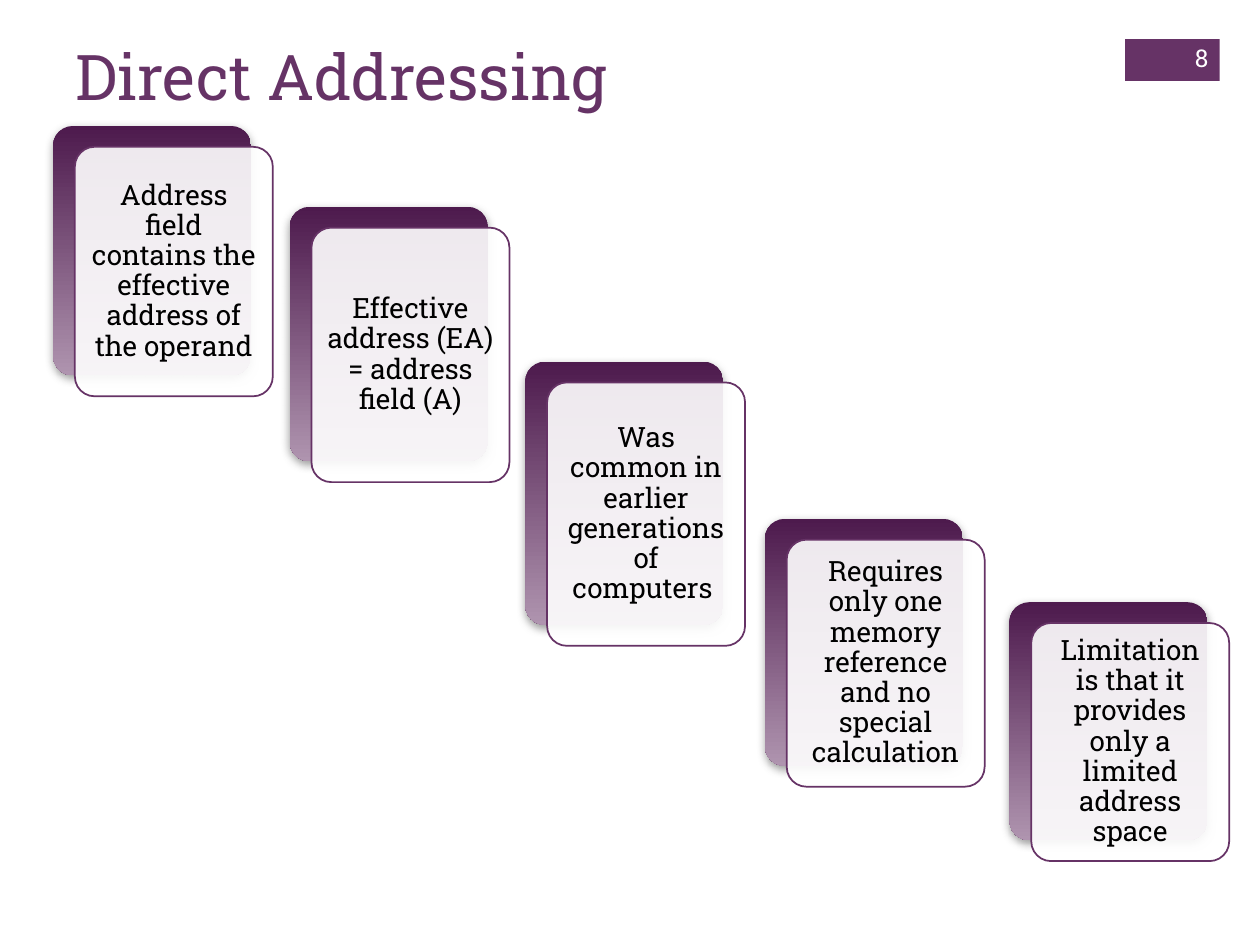
"""Build the Direct Addressing slide with its staircase of cards."""
from lxml.etree import SubElement as Sub
from pptx import Presentation
from pptx.dml.color import RGBColor
from pptx.enum.shapes import MSO_SHAPE as Form
from pptx.enum.text import MSO_ANCHOR as Anchor, PP_ALIGN as Align
from pptx.oxml.ns import qn
from pptx.util import Cm, Pt

FACE = "Roboto Slab"
PLUM, DARK, PALE, GREY = "663366", "4D1A4D", "AF94AF", "808080"
WHITE, BLACK = "FFFFFF", "000000"
TITLE = "Direct Addressing"
PAGE = "8"
CARDS = [
    ("Address field contains the effective address of the operand", 1.07, 2.54, 5.03),
    ("Effective address (EA) = address field (A)", 5.84, 4.17, 5.13),
    ("Was common in earlier generations of computers ", 10.59, 7.29, 5.31),
    ("Requires only one memory reference and no special calculation", 15.42, 10.46, 4.98),
    ("Limitation is that it provides only a limited address space", 20.35, 12.14, 4.8),
]
WIDTH, RIGHT, DOWN = 3.99, 0.44, 0.42
PAD = Cm(0.18)
INSETS = dict(margin_left=PAD, margin_right=PAD, margin_top=PAD, margin_bottom=PAD)


def tint(code):
    return RGBColor.from_string(code)


def style(item, values):
    for name, value in values.items():
        setattr(item, name, value)


def write(shape, text, size, color, frame, para):
    box = shape.text_frame
    style(box, dict(word_wrap=True, **frame))
    line = box.paragraphs[0]
    style(line, para)
    run = line.add_run()
    run.text = text
    style(run.font, dict(name=FACE, size=Pt(size)))
    run.font.color.rgb = tint(color)


def block(slide, form, *place):
    shape = slide.shapes.add_shape(form, *map(Cm, place))
    shape.shadow.inherit = False
    if form == Form.ROUNDED_RECTANGLE:
        shape.adjustments[0] = 0.1
    return shape


def paint(shape, color):
    shape.fill.solid()
    shape.fill.fore_color.rgb = tint(color)


def fade(parent, color, alpha):
    node = Sub(parent, qn("a:srgbClr"), val=color)
    Sub(node, qn("a:alpha"), val=str(alpha * 1000))


def back(slide, *place):
    shape = block(slide, Form.ROUNDED_RECTANGLE, *place)
    shape.line.fill.background()
    shape.fill.gradient()
    shape.fill.gradient_angle = 270
    for stop, color in zip(shape.fill.gradient_stops, (DARK, PALE)):
        stop.color.rgb = tint(color)
    effects = shape.element.spPr.find(qn("a:effectLst"))
    shade = Sub(effects, qn("a:outerShdw"), blurRad=str(Pt(5)),
                dist=str(Pt(2)), dir="5400000", rotWithShape="0")
    fade(shade, GREY, 75)


def front(slide, text, *place):
    shape = block(slide, Form.ROUNDED_RECTANGLE, *place)
    paint(shape, WHITE)
    solid = shape.element.spPr.find(qn("a:solidFill"))
    solid.remove(solid[0])
    fade(solid, WHITE, 90)
    shape.line.color.rgb = tint(PLUM)
    shape.line.width = Pt(1)
    write(shape, text, 16, BLACK, dict(vertical_anchor=Anchor.MIDDLE, **INSETS),
          dict(alignment=Align.CENTER, line_spacing=0.9))


def label(slide, text, size, color, place, frame, para):
    box = slide.shapes.add_textbox(*map(Cm, place))
    write(box, text, size, color, frame, para)


def main():
    deck = Presentation()
    style(deck, dict(slide_width=Cm(25.4), slide_height=Cm(19.05)))
    slide = deck.slides.add_slide(deck.slide_layouts[6])
    badge = block(slide, Form.RECTANGLE, 22.68, 0.79, 1.91, 0.84)
    paint(badge, PLUM)
    badge.line.fill.background()
    for text, left, top, height in CARDS:
        back(slide, left, top, WIDTH, height)
        front(slide, text, left + RIGHT, top + DOWN, WIDTH, height)
    label(slide, TITLE, 36, PLUM, (1.27, 0.64, 20.98, 3.1),
          dict(vertical_anchor=Anchor.TOP), dict(alignment=Align.LEFT))
    label(slide, PAGE, 14, WHITE, (23.06, 0.66, 1.55, 1.02),
          dict(vertical_anchor=Anchor.MIDDLE), dict(alignment=Align.RIGHT))
    deck.save("out.pptx")


if __name__ == "__main__":
    main()
